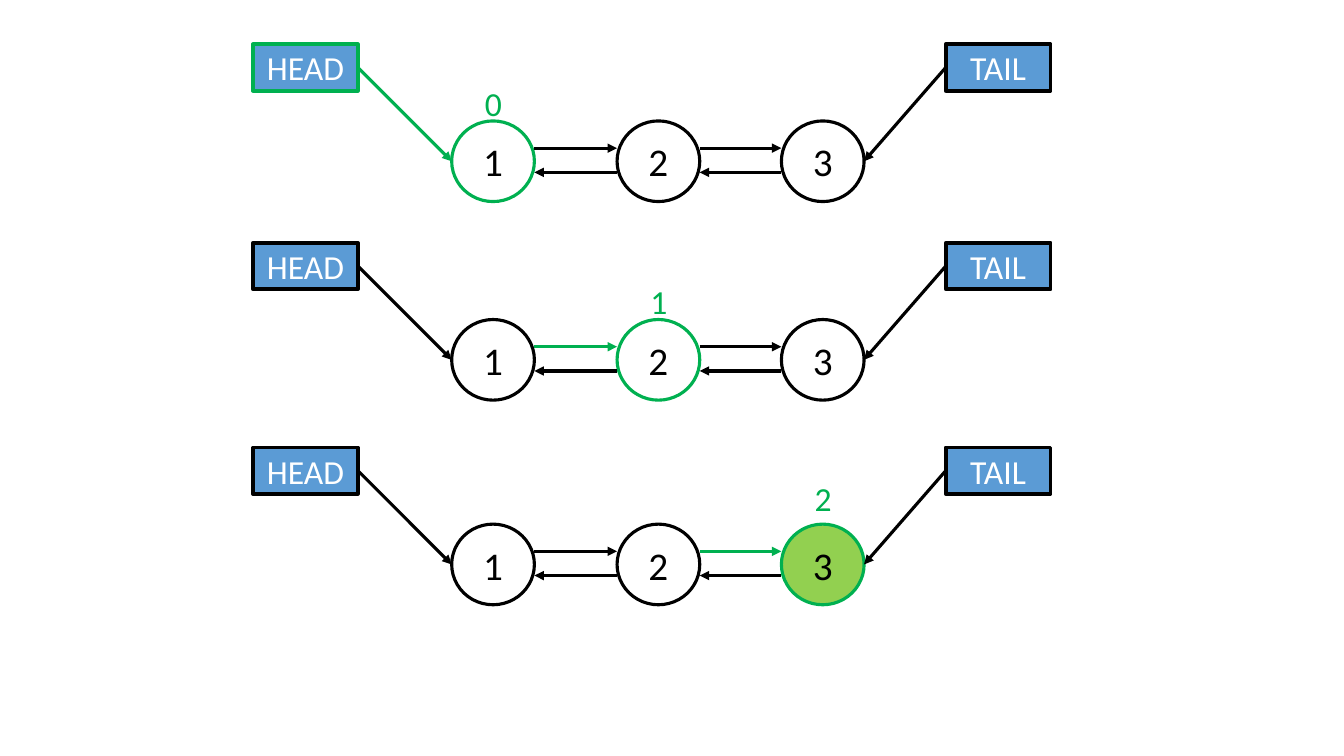
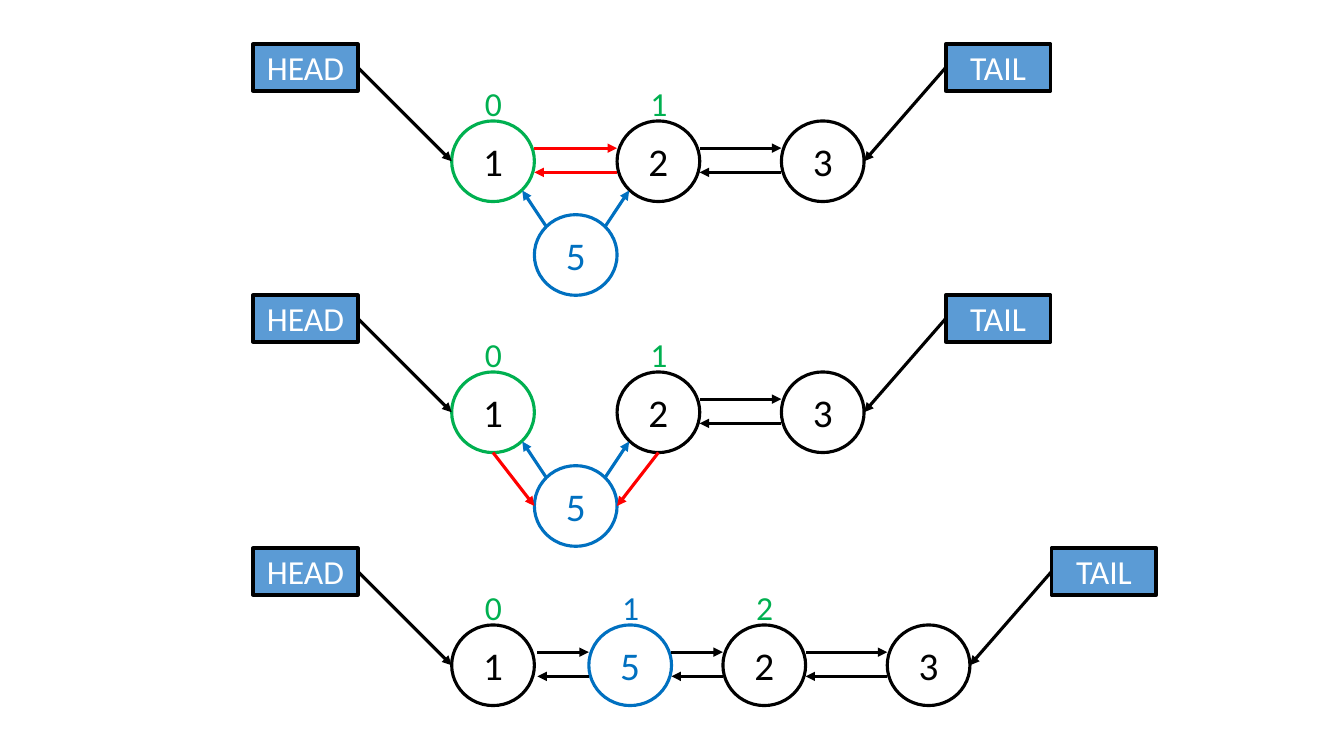
"""Draw walking along and inserting into a doubly linked list."""
from dataclasses import dataclass
from typing import NamedTuple

from lxml.etree import SubElement
from pptx import Presentation
from pptx.dml.color import RGBColor as Rgb
from pptx.enum.shapes import MSO_CONNECTOR as Line, MSO_SHAPE as Shape
from pptx.enum.text import MSO_ANCHOR as Anchor, PP_ALIGN as Align
from pptx.oxml.ns import qn
from pptx.util import Inches, Pt


@dataclass(frozen=True)
class Theme:
    black: Rgb = Rgb(0, 0, 0)
    white: Rgb = Rgb(255, 255, 255)
    green: Rgb = Rgb(0x00, 0xB0, 0x50)
    lime: Rgb = Rgb(0x92, 0xD0, 0x50)
    blue: Rgb = Rgb(0x00, 0x70, 0xC0)
    sky: Rgb = Rgb(0x5B, 0x9B, 0xD5)
    red: Rgb = Rgb(255, 0, 0)
    font: str = "Calibri"
    big: float = 28
    small: float = 24
    thin: float = 2.25
    thick: float = 2.75


T = Theme()
WIDE, HIGH = 0.82, 0.8
BOX_W, BOX_H = 1.04, 0.46
HEAD_X = 2.51
TAIL_GAP = 1.63
COLS = (4.48, 6.12, 7.75)


class Node(NamedTuple):
    text: str
    left: float
    edge: Rgb = T.black
    ink: Rgb = T.black
    fill: Rgb | None = None
    index: str = ""
    hue: Rgb = T.green
    lift: float = 0.43


class Link(NamedTuple):
    ahead: Rgb = T.black
    back: Rgb = T.black
    gap: float = 0


class Row(NamedTuple):
    top: float
    nodes: list[Node]
    links: list[Link | None]
    head: Rgb = T.black
    child: bool = False
    joined: bool = False


def write(frame, text: str, size: float, ink: Rgb) -> None:
    frame.word_wrap = True
    para = frame.paragraphs[0]
    para.alignment = Align.CENTER
    run = para.add_run()
    run.text = text
    run.font.name = T.font
    run.font.size = Pt(size)
    run.font.color.rgb = ink


def form(slide, kind: Shape, left: float, top: float, wide: float, high: float,
         fill: Rgb | None, edge: Rgb, line: float, text: str, size: float, ink: Rgb) -> None:
    shape = slide.shapes.add_shape(kind, Inches(left), Inches(top), Inches(wide), Inches(high))
    shape.shadow.inherit = False
    if fill is None:
        shape.fill.background()
    else:
        shape.fill.solid()
        shape.fill.fore_color.rgb = fill
    shape.line.color.rgb = edge
    shape.line.width = Pt(line)
    shape.text_frame.vertical_anchor = Anchor.MIDDLE
    write(shape.text_frame, text, size, ink)


def arrow(slide, x1: float, y1: float, x2: float, y2: float, hue: Rgb) -> None:
    line = slide.shapes.add_connector(Line.STRAIGHT, Inches(x1), Inches(y1), Inches(x2), Inches(y2))
    line.line.color.rgb = hue
    line.line.width = Pt(T.thin)
    props = line._element.spPr
    SubElement(props.find(qn("a:ln")), qn("a:tailEnd"), type="triangle")
    SubElement(props, qn("a:effectLst"))


def box(slide, left: float, top: float, edge: Rgb, text: str) -> None:
    form(slide, Shape.RECTANGLE, left, top - 0.76, BOX_W, BOX_H,
         T.sky, edge, T.thick, text, T.small, T.white)


def ring(slide, node: Node, top: float) -> None:
    form(slide, Shape.OVAL, node.left, top, WIDE, HIGH,
         node.fill, node.edge, T.thin, node.text, T.big, node.ink)
    if node.index:
        label = slide.shapes.add_textbox(Inches(node.left + 0.15), Inches(top - node.lift),
                                         Inches(0.53), Inches(0.5))
        write(label.text_frame, node.index, T.small, node.hue)


def join(slide, link: Link, left: Node, right: Node, top: float) -> None:
    start, end = left.left + WIDE + link.gap, right.left
    arrow(slide, start, top + 0.27, end, top + 0.27, link.ahead)
    arrow(slide, end, top + 0.51, start, top + 0.51, link.back)


def branch(slide, top: float, joined: bool) -> None:
    mid = 5.71
    ring(slide, Node("5", mid - WIDE / 2, T.blue, T.blue), top + 0.93)
    for side in (-1, 1):
        arrow(slide, mid + side * 0.29, top + 1.05, mid + side * 0.53, top + 0.69, T.blue)
        if joined:
            arrow(slide, mid + side * WIDE, top + HIGH, mid + side * WIDE / 2, top + 1.33, T.red)


def draw(slide, row: Row) -> None:
    first, last, top = row.nodes[0], row.nodes[-1], row.top
    tail = last.left + TAIL_GAP
    for node in row.nodes:
        ring(slide, node, top)
    for link, left, right in zip(row.links, row.nodes, row.nodes[1:]):
        if link:
            join(slide, link, left, right, top)
    box(slide, HEAD_X, top, row.head, "HEAD")
    box(slide, tail, top, T.black, "TAIL")
    arrow(slide, HEAD_X + BOX_W, top - 0.53, first.left, top + 0.4, row.head)
    arrow(slide, tail, top - 0.53, last.left + WIDE, top + 0.4, T.black)
    if row.child:
        branch(slide, top, row.joined)


def main() -> None:
    one, two, three = (Node(str(i), left) for i, left in enumerate(COLS, 1))
    plain, ahead = Link(), Link(T.green)
    start = one._replace(edge=T.green, index="0")
    next_up = two._replace(index="1")
    found = three._replace(edge=T.green, fill=T.lime, index="2", lift=0.51)
    walk = [
        Row(1.2, [start, two, three], [plain, plain], head=T.green),
        Row(3.17, [one, next_up._replace(edge=T.green), three], [ahead, plain]),
        Row(5.2, [one, two, found], [plain, ahead]),
    ]
    shift = 1.05
    insert = [
        Row(1.2, [start, next_up, three], [Link(T.red, T.red), plain], child=True),
        Row(3.69, [start, next_up, three], [None, plain], child=True, joined=True),
        Row(6.2, [one._replace(index="0"),
                  Node("5", 5.84, T.blue, T.blue, index="1", hue=T.blue),
                  two._replace(left=two.left + shift, index="2"),
                  three._replace(left=three.left + shift)],
            [Link(gap=0.03), plain, plain]),
    ]
    deck = Presentation()
    deck.slide_width, deck.slide_height = Inches(13.33), Inches(7.5)
    for rows in (walk, insert):
        slide = deck.slides.add_slide(deck.slide_layouts[6])
        for row in rows:
            draw(slide, row)
    deck.save("out.pptx")


if __name__ == "__main__":
    main()
